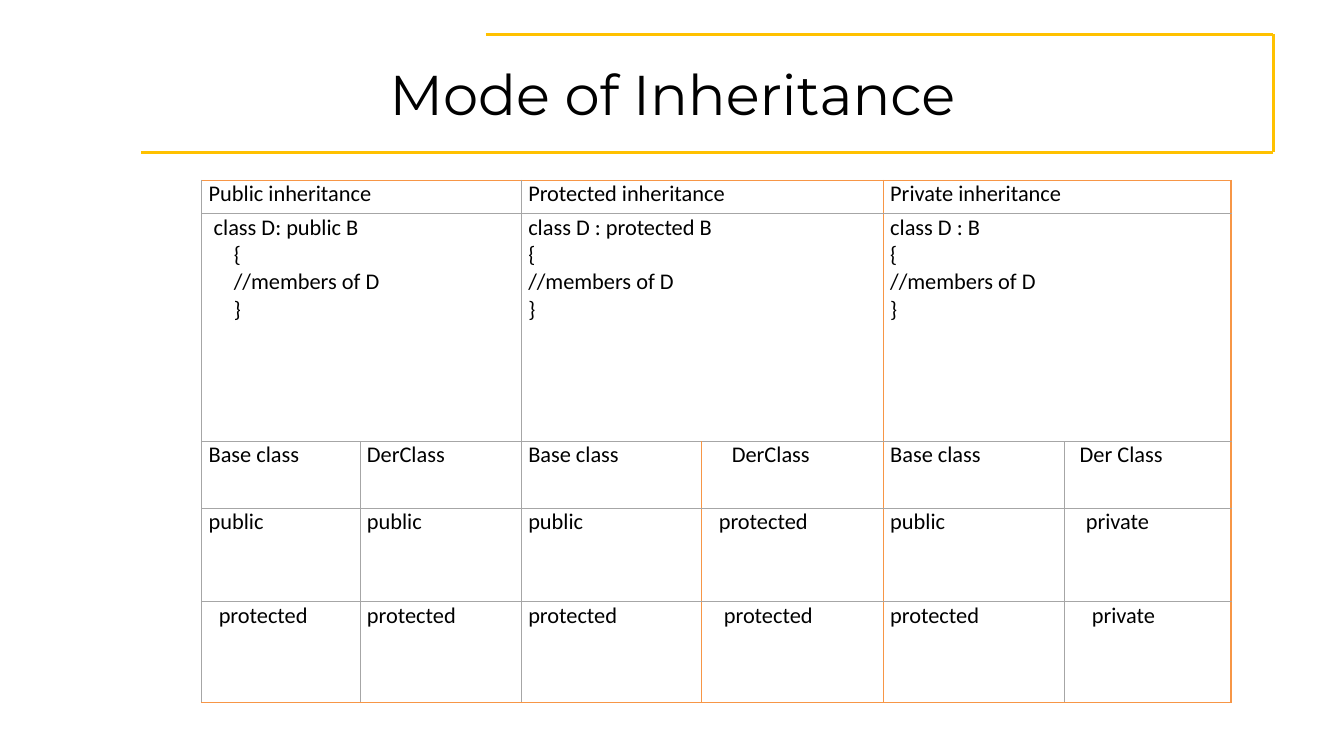
from dataclasses import dataclass

from lxml.etree import SubElement
from pptx import Presentation
from pptx.dml.color import RGBColor
from pptx.enum.shapes import MSO_CONNECTOR
from pptx.enum.text import MSO_ANCHOR, PP_ALIGN
from pptx.oxml.ns import qn
from pptx.util import Inches, Pt


@dataclass(frozen=True)
class Theme:
    """Colours, fonts and sizes of the slide."""
    text: str = "000000"
    frame: str = "FFC100"
    accent: str = "F79646"
    grid: str = "A6A6A6"
    title_font: str = "Montserrat"
    body_font: str = "Calibri"
    title_size: int = 40
    body_size: int = 16
    frame_width: float = 2
    accent_width: float = 1
    grid_width: float = 0.5


THEME = Theme()
COLUMNS = [1.57, 1.6, 1.79, 1.8, 1.8, 1.65]
ROWS = [0.33, 2.26, 0.66, 0.93, 1]
MERGED_ROWS = 2
ACCENT_COLUMN_EDGES = {3, 4, 6}
ACCENT_ROW_EDGES = {0, 5}
MEMBERS = ["{", "//members of D", "}"]
CELLS = [
    [["Public inheritance"], ["Protected inheritance"], ["Private inheritance"]],
    [[("class D: public B", 0.05)] + [(line, 0.25) for line in MEMBERS],
     ["class D : protected B"] + MEMBERS,
     ["class D : B"] + MEMBERS],
    [["Base class"], ["DerClass"], ["Base class"], [("DerClass", 0.23)],
     ["Base class"], [("Der Class", 0.08)]],
    [["public"], ["public"], ["public"], [("protected", 0.1)],
     ["public"], [("private", 0.14)]],
    [[("protected", 0.1)], ["protected"], ["protected"], [("protected", 0.15)],
     ["protected"], [("private", 0.2)]],
]


def write_span(para, text, font, size):
    """Add one styled run to a paragraph."""
    span = para.add_run()
    span.text = text
    for name, value in {"name": font, "size": Pt(size), "bold": False}.items():
        setattr(span.font, name, value)
    span.font.color.rgb = RGBColor.from_string(THEME.text)


def add_title(page, left, top, width, height, text):
    """Place the centred title in its box."""
    box = page.shapes.add_textbox(*map(Inches, (left, top, width, height)))
    frame = box.text_frame
    for name, value in {"word_wrap": True, "vertical_anchor": MSO_ANCHOR.MIDDLE}.items():
        setattr(frame, name, value)
    para = frame.paragraphs[0]
    para.alignment = PP_ALIGN.CENTER
    write_span(para, text, THEME.title_font, THEME.title_size)


def add_title_frame(page, left, top, width, height, inset):
    """Draw the open frame whose top line starts at the inset."""
    right, bottom = left + width, top + height
    corners = [(left + inset, top), (right, top), (right, bottom), (left, bottom)]
    for start, end in zip(corners, corners[1:]):
        line = page.shapes.add_connector(
            MSO_CONNECTOR.STRAIGHT, *map(Inches, start + end))
        line.line.color.rgb = RGBColor.from_string(THEME.frame)
        line.line.width = Pt(THEME.frame_width)
        SubElement(line._element.spPr, qn("a:effectLst"))


def set_borders(cell, row, first, last):
    """Colour the four edges of a cell that covers columns first to last."""
    edges = {
        "lnL": first in ACCENT_COLUMN_EDGES,
        "lnR": last + 1 in ACCENT_COLUMN_EDGES,
        "lnT": row in ACCENT_ROW_EDGES,
        "lnB": row + 1 in ACCENT_ROW_EDGES,
    }
    properties = cell._tc.get_or_add_tcPr()
    for tag, accented in edges.items():
        width = THEME.accent_width if accented else THEME.grid_width
        edge = SubElement(properties, qn(f"a:{tag}"), w=str(Pt(width)))
        fill = SubElement(edge, qn("a:solidFill"))
        SubElement(fill, qn("a:srgbClr"), val=THEME.accent if accented else THEME.grid)


def fill_cell(cell, lines):
    """Write the lines of a cell, each with its own indent."""
    margins = {"margin_left": 0.07, "margin_right": 0.07,
               "margin_top": 0, "margin_bottom": 0}
    for name, value in margins.items():
        setattr(cell, name, Inches(value))
    for index, line in enumerate(lines):
        text, indent = line if isinstance(line, tuple) else (line, 0)
        frame = cell.text_frame
        para = frame.add_paragraph() if index else frame.paragraphs[0]
        para._p.get_or_add_pPr().set("marL", str(Inches(indent)))
        write_span(para, text, THEME.body_font, THEME.body_size)


def add_inheritance_table(page, left, top):
    """Build the table with merged heading pairs and single cells below."""
    box = page.shapes.add_table(
        len(ROWS), len(COLUMNS),
        *map(Inches, (left, top, sum(COLUMNS), sum(ROWS))))
    table = box.table
    for name in ("first_row", "horz_banding"):
        setattr(table, name, False)
    for column, width in zip(table.columns, COLUMNS):
        column.width = Inches(width)
    for row, height in zip(table.rows, ROWS):
        row.height = Inches(height)
    for row, contents in enumerate(CELLS):
        reach = 2 if row < MERGED_ROWS else 1
        for position, lines in enumerate(contents):
            first = position * reach
            last = first + reach - 1
            cell = table.cell(row, first)
            if reach > 1:
                cell.merge(table.cell(row, last))
            fill_cell(cell, lines)
            for column in range(first, last + 1):
                part = table.cell(row, column)
                set_borders(part, row, first, last)
                part.fill.background()


def main():
    """Build and save the slide."""
    deck = Presentation()
    for name, value in {"slide_width": 13.33, "slide_height": 7.5}.items():
        setattr(deck, name, Inches(value))
    page = deck.slides.add_slide(deck.slide_layouts[6])
    add_title_frame(page, 1.4, 0.34, 11.23, 1.17, 3.42)
    add_title(page, 0.67, 0.3, 12, 1.25, "Mode of Inheritance")
    add_inheritance_table(page, 2, 1.79)
    deck.save("out.pptx")


if __name__ == "__main__":
    main()
